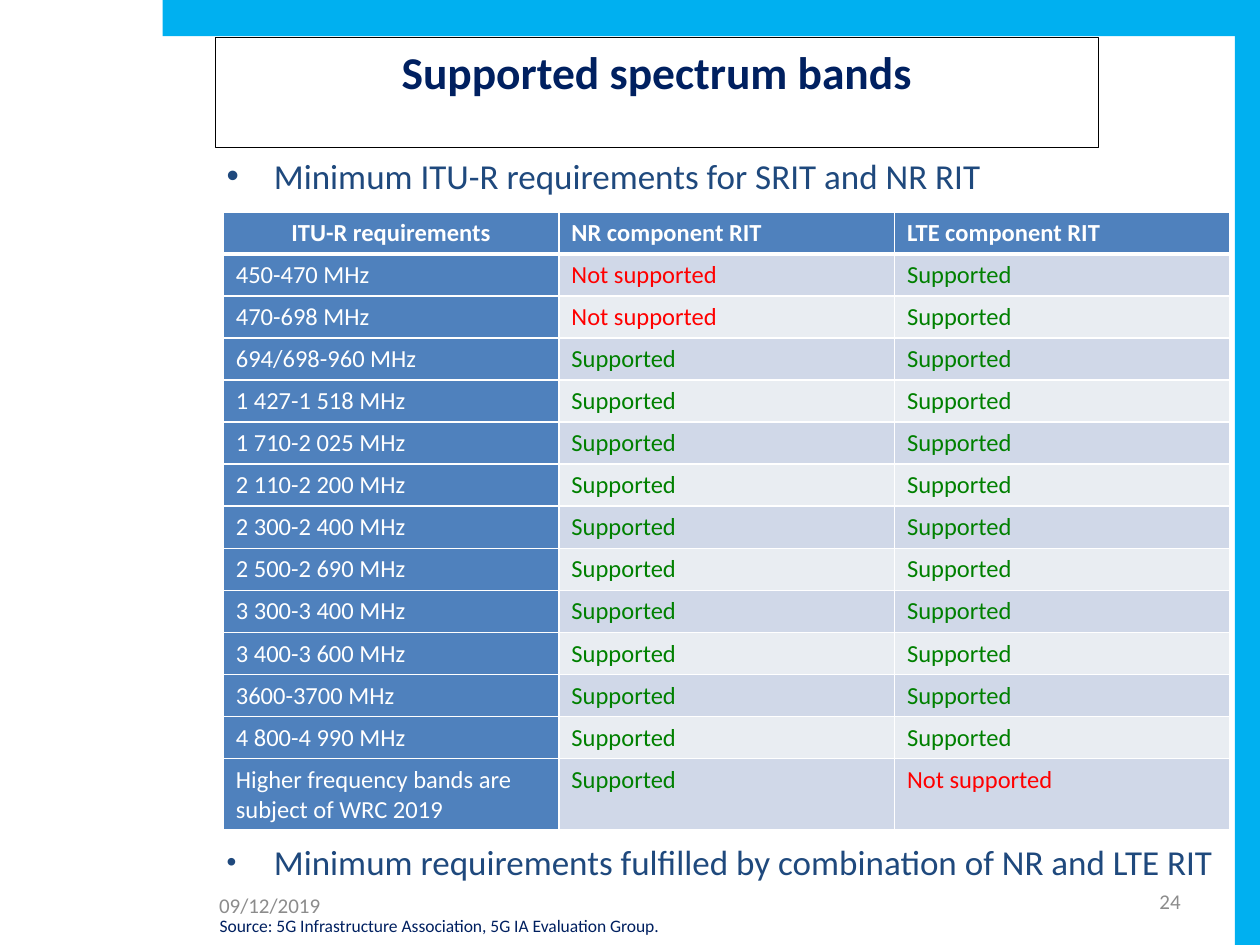
"""Build the slide on supported spectrum bands."""
from dataclasses import dataclass, field

import pptx
import pptx.dml.color
import pptx.enum.shapes
import pptx.enum.text
import pptx.oxml
import pptx.oxml.ns
import pptx.util

Pt = pptx.util.Pt
ALIGN = pptx.enum.text.PP_ALIGN
ANCHOR = pptx.enum.text.MSO_ANCHOR
SPACE = pptx.oxml.ns.nsdecls("a")
HUES = {
    "sky": "00B0F0", "navy": "002060", "ink": "1F497D", "gray": "8C8C8C",
    "head": "4F81BD", "odd": "D0D8E8", "even": "E9EDF2", "white": "FFFFFF",
    "black": "000000", "no": "FF0000", "yes": "008000",
}
BANDS = [
    "450-470\u00a0MHz", "470-698 MHz", "694/698-960\u00a0MHz",
    "1 427-1 518 MHz", "1\u00a0710-2\u00a0025\u00a0MHz",
    "2\u00a0110-2\u00a0200\u00a0MHz", "2\u00a0300-2\u00a0400\u00a0MHz",
    "2\u00a0500-2\u00a0690\u00a0MHz", "3 300-3 400 MHz",
    "3\u00a0400-3\u00a0600\u00a0MHz", "3600-3700 MHz", "4 800-4 990 MHz",
    "Higher frequency bands are subject of WRC 2019",
]
HEADS = ["ITU-R requirements", "NR component RIT", "LTE component RIT"]
GAPS = {(1, 1), (2, 1), (len(BANDS), 2)}


@dataclass
class Label:
    """A text box with one line of text."""
    box: tuple
    text: str
    size: float
    hue: str
    form: dict = field(default_factory=dict)
    align: ALIGN = ALIGN.LEFT


@dataclass
class Point:
    """A bulleted line with its leading space and bullet size."""
    text: str
    before: float
    scale: int


def color(name: str) -> pptx.dml.color.RGBColor:
    """Look up a colour."""
    return pptx.dml.color.RGBColor.from_string(HUES[name])


def apply(item, form: dict) -> None:
    """Set attributes from a dict."""
    for key, value in form.items():
        setattr(item, key, value)


def write(para, text: str, size: float, hue: str, bold: bool = False) -> None:
    """Add a run in the slide font."""
    run = para.add_run()
    run.text = text
    apply(run.font, {"name": "Calibri", "size": Pt(size), "bold": bold})
    run.font.color.rgb = color(hue)


def frame(slide, box: tuple):
    """Add an empty text box and return its frame."""
    body = slide.shapes.add_textbox(*map(Pt, box)).text_frame
    body.word_wrap = True
    return body


def rect(slide, box: tuple):
    """Add a plain rectangle."""
    kind = pptx.enum.shapes.MSO_SHAPE.RECTANGLE
    shape = slide.shapes.add_shape(kind, *map(Pt, box))
    shape.shadow.inherit = False
    return shape


def bar(slide, box: tuple) -> None:
    """Add a solid edge bar."""
    shape = rect(slide, box)
    shape.fill.solid()
    shape.fill.fore_color.rgb = color("sky")
    shape.line.fill.background()


def title(slide, box: tuple, text: str) -> None:
    """Add the outlined title."""
    shape = rect(slide, box)
    shape.fill.background()
    shape.line.color.rgb = color("black")
    shape.line.width = Pt(0.75)
    shape.text_frame.vertical_anchor = ANCHOR.TOP
    para = shape.text_frame.paragraphs[0]
    para.alignment = ALIGN.CENTER
    write(para, text, 26, "navy", True)


def label(slide, item: Label) -> None:
    """Add a footer text."""
    body = frame(slide, item.box)
    apply(body, item.form)
    para = body.paragraphs[0]
    para.alignment = item.align
    write(para, item.text, item.size, item.hue)


def points(slide, box: tuple, items: list[Point]) -> None:
    """Add the bulleted lines in one box."""
    body = frame(slide, box)
    for i, item in enumerate(items):
        para = body.add_paragraph() if i else body.paragraphs[0]
        para.space_before = Pt(item.before)
        write(para, item.text, 20, "ink")
        props = para._p.get_or_add_pPr()
        props.set("marL", str(Pt(27)))
        props.set("indent", str(Pt(-27)))
        for tag in (
            f'<a:buClr {SPACE}><a:srgbClr val="{HUES["ink"]}"/></a:buClr>',
            f'<a:buSzPct {SPACE} val="{item.scale * 1000}"/>',
            f'<a:buFont {SPACE} typeface="Arial"/>',
            f'<a:buChar {SPACE} char="\u2022"/>',
        ):
            props.append(pptx.oxml.parse_xml(tag))


def cell(cell, text: str, hue: str, fill: str, row: int, align: ALIGN) -> None:
    """Fill one table cell."""
    props = cell._tc.get_or_add_tcPr()
    wide = {"L": 1, "R": 1, "T": 3 if row == 1 else 1, "B": 1 if row else 3}
    for side, width in wide.items():
        props.append(pptx.oxml.parse_xml(
            f'<a:ln{side} {SPACE} w="{Pt(width)}"><a:solidFill>'
            f'<a:srgbClr val="{HUES["white"]}"/></a:solidFill></a:ln{side}>'))
    cell.fill.solid()
    cell.fill.fore_color.rgb = color(fill)
    para = cell.text_frame.paragraphs[0]
    para.alignment = align
    write(para, text, 14, hue, row == 0)


def grid(slide, box: tuple) -> None:
    """Add the table of bands."""
    count = len(BANDS) + 1
    table = slide.shapes.add_table(count, len(HEADS), *map(Pt, box)).table
    for col in table.columns:
        col.width = Pt(box[2] / len(HEADS))
    for r, row in enumerate(table.rows):
        row.height = Pt(40.6 if r == count - 1 else 24.02)
        for c in range(len(HEADS)):
            text, hue, fill = HEADS[c], "white", "head"
            if r and c == 0:
                text = BANDS[r - 1]
            elif r:
                gap = (r, c) in GAPS
                text = "Not supported" if gap else "Supported"
                hue = "no" if gap else "yes"
                fill = "odd" if r % 2 else "even"
            align = ALIGN.LEFT if r or c else ALIGN.CENTER
            cell(table.cell(r, c), text, hue, fill, r, align)


def main() -> None:
    """Build and save the slide."""
    deck = pptx.Presentation()
    apply(deck, {"slide_width": Pt(720), "slide_height": Pt(540)})
    slide = deck.slides.add_slide(deck.slide_layouts[6])
    for box in [(705.6, 0, 14.4, 540), (92.9, 0, 612.7, 20.6)]:
        bar(slide, box)
    points(slide, (122.4, 85, 580.3, 413.3), [
        Point("Minimum ITU-R requirements for SRIT and NR RIT", 6, 100),
        Point("Minimum requirements fulfilled by combination of NR and LTE RIT",
              368, 80),
    ])
    tight = {"margin_left": Pt(4.5), "margin_right": Pt(4.5),
             "margin_top": Pt(2.2), "margin_bottom": Pt(2.2)}
    for item in [
        Label((555.8, 504, 126, 21.6), "24", 12, "gray",
              {"vertical_anchor": ANCHOR.MIDDLE}, ALIGN.RIGHT),
        Label((121, 520.6, 267.1, 16.6),
              "Source: 5G Infrastructure Association, 5G IA Evaluation Group.",
              10, "navy", {**tight, "word_wrap": False}),
        Label((118.1, 506.2, 89.3, 21.6), "09/12/2019", 12, "gray"),
    ]:
        label(slide, item)
    title(slide, (123.1, 21.6, 504.7, 62.6), "Supported spectrum bands")
    grid(slide, (127.6, 121, 575.3, 352.8))
    deck.save("out.pptx")


main()
